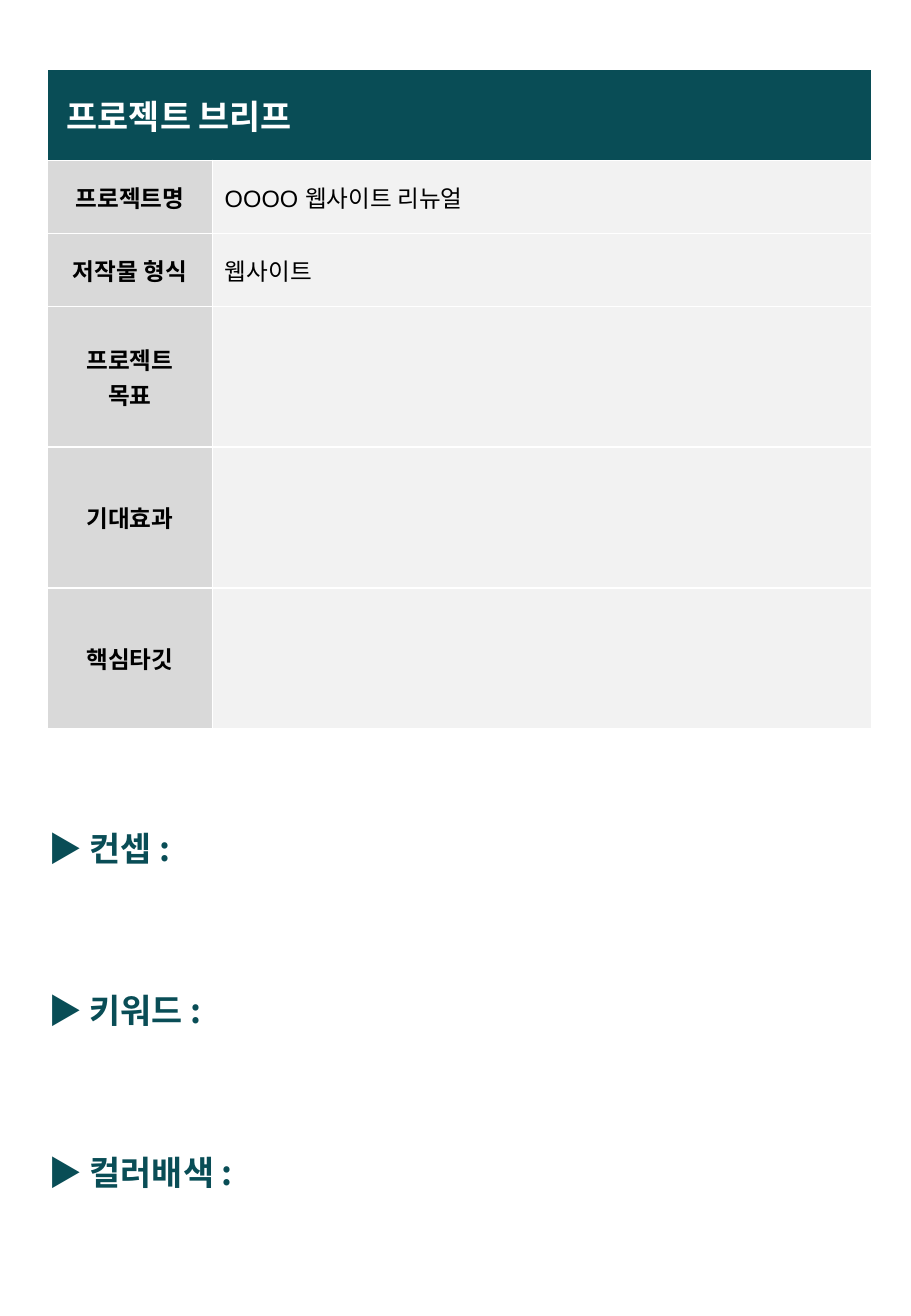
from pptx import Presentation
from pptx.dml.color import RGBColor
from pptx.enum.text import MSO_ANCHOR as Anchor, PP_ALIGN as Align
from pptx.oxml.ns import qn
from pptx.util import Pt
from lxml.etree import SubElement

PX = 9144  # 100 px to the inch
TEAL = RGBColor(0x09, 0x4D, 0x56)
GREY = RGBColor(0xD9, 0xD9, 0xD9)
PALE = RGBColor(0xF2, 0xF2, 0xF2)
WHITE = RGBColor(0xFF, 0xFF, 0xFF)
BLACK = RGBColor(0, 0, 0)
HANGUL = "Noto Sans CJK KR"

WIDTHS = [136, 543]
HEAD = 75
ROWS = [
    ("프로젝트명", "OOOO 웹사이트 리뉴얼", 60),
    ("저작물 형식", "웹사이트", 60),
    ("프로젝트\n목표", "", 116),
    ("기대효과", "", 116),
    ("핵심타깃", "", 116),
]
TOPICS = ["컨셉", "키워드", "컬러배색"]


def write(frame, text, size=14, color=BLACK, bold=False, font="Arial",
          align=Align.LEFT, line=None, before=0):
    for i, words in enumerate(text.split("\n")):
        para = frame.add_paragraph() if i else frame.paragraphs[0]
        para.alignment = align
        para.line_spacing = line
        para.space_before = Pt(before if i else 0)
        run = para.add_run()
        run.text = words
        run.font.name = font
        run.font.size = Pt(size)
        run.font.bold = bold
        run.font.color.rgb = color
        SubElement(run.font._element, qn("a:ea"), typeface=HANGUL)


def edge(cell, sides):
    """Draw white 1 pt borders on the named sides, in schema order."""
    props = cell._tc.get_or_add_tcPr()
    for i, side in enumerate(sides):
        line = props.makeelement(qn(f"a:ln{side}"), {"w": str(Pt(1))})
        fill = SubElement(line, qn("a:solidFill"))
        SubElement(fill, qn("a:srgbClr"), val=str(WHITE))
        props.insert(i, line)


def paint(cell, color, sides="LRTB"):
    cell.fill.solid()
    cell.fill.fore_color.rgb = color
    cell.vertical_anchor = Anchor.MIDDLE
    edge(cell, sides)


def brief(slide, left, top):
    high = HEAD + sum(row[2] for row in ROWS)
    box = [n * PX for n in (left, top, sum(WIDTHS), high)]
    table = slide.shapes.add_table(len(ROWS) + 1, 2, *box).table
    table.first_row = table.horz_banding = False
    for col, wide in zip(table.columns, WIDTHS):
        col.width = wide * PX

    table.rows[0].height = HEAD * PX
    head = table.cell(0, 0)
    head.merge(table.cell(0, 1))
    paint(head, TEAL, "B")
    head.margin_left = 16 * PX
    write(head.text_frame, "프로젝트 브리프", size=20, color=WHITE, bold=True)

    for i, (label, value, tall) in enumerate(ROWS, 1):
        table.rows[i].height = tall * PX
        name, field = table.cell(i, 0), table.cell(i, 1)
        paint(name, GREY)
        paint(field, PALE)
        write(name.text_frame, label, bold=True, align=Align.CENTER)
        if value:
            write(field.text_frame, value)


def topics(slide, left, top, wide, high):
    box = [n * PX for n in (left, top, wide, high)]
    frame = slide.shapes.add_textbox(*box).text_frame
    frame.word_wrap = True
    text = "\n".join(f"▶ {topic} :" for topic in TOPICS)
    write(frame, text, size=20, color=TEAL, bold=True, font=HANGUL,
          line=Pt(48), before=48)


def main():
    deck = Presentation()
    deck.slide_width, deck.slide_height = 750 * PX, 1083 * PX
    slide = deck.slides.add_slide(deck.slide_layouts[6])
    brief(slide, 39, 57)
    topics(slide, 30, 643, 686, 414)
    deck.save("out.pptx")


if __name__ == "__main__":
    main()
